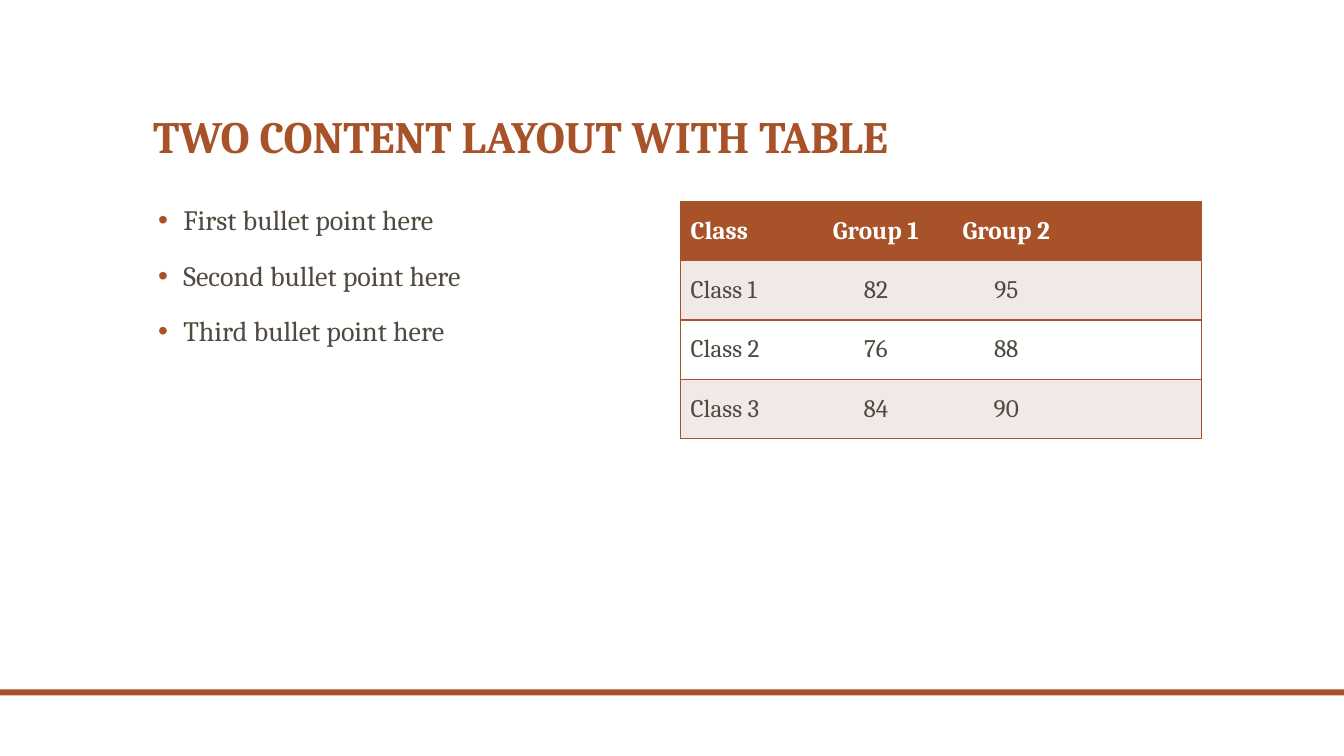
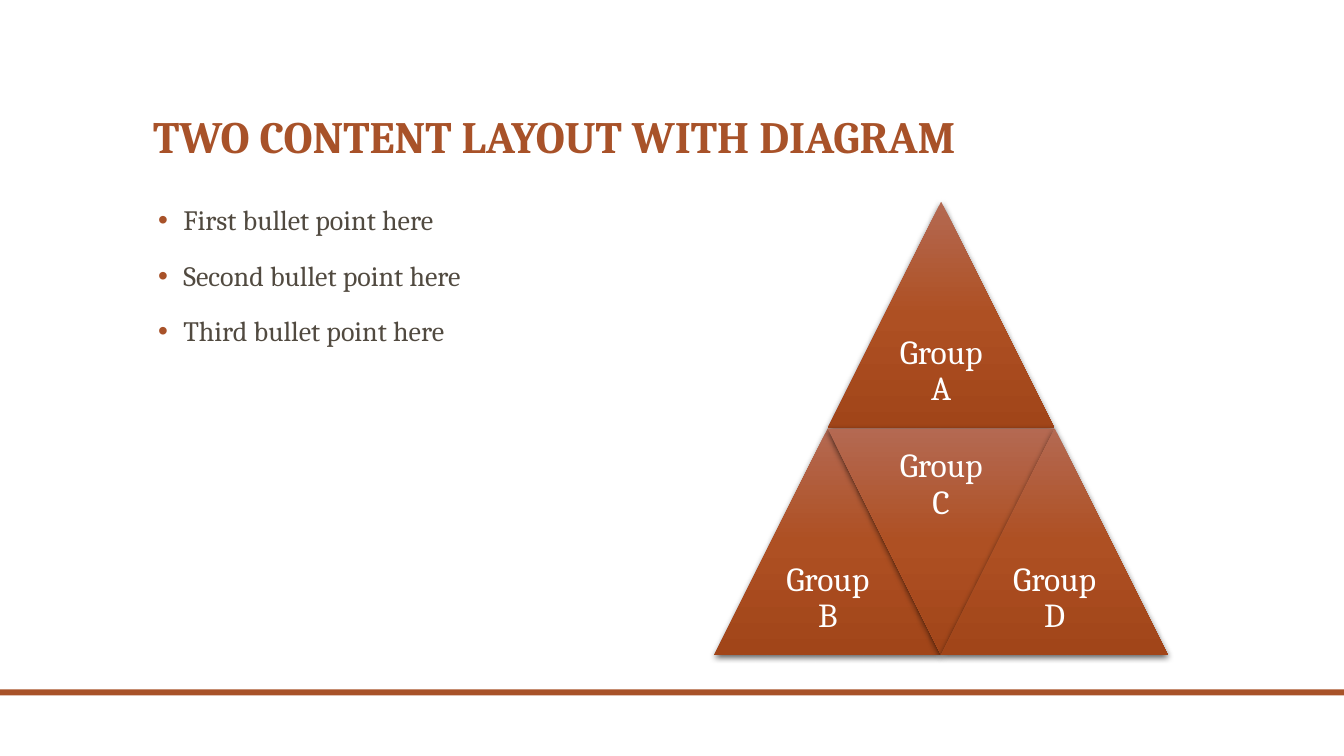
import dataclasses

import pptx
import pptx.dml.color
import pptx.enum.shapes
import pptx.enum.text
import pptx.oxml
import pptx.oxml.ns
import pptx.util

Inches = pptx.util.Inches
Pt = pptx.util.Pt
ALIGN = pptx.enum.text.PP_ALIGN
ANCHOR = pptx.enum.text.MSO_ANCHOR
SHAPE = pptx.enum.shapes.MSO_SHAPE
NAMESPACE = pptx.oxml.ns.nsdecls("a")


@dataclasses.dataclass(frozen=True)
class Theme:
    font: str = "Cambria"
    accent: str = "A85229"
    body: str = "514A40"
    white: str = "FFFFFF"
    stripe: str = "F1E9E8"
    gradient: tuple = ((0, "B46952"), (50, "AE5023"), (100, "A14519"))
    title_size: int = 32
    bullet_size: int = 20
    table_size: int = 18
    diagram_size: int = 24
    line_spacing: float = 0.9


@dataclasses.dataclass(frozen=True)
class Box:
    """A rectangle in inches."""
    left: float
    top: float
    width: float
    height: float

    def lengths(self):
        return [Inches(value) for value in dataclasses.astuple(self)]


THEME = Theme()
PAGE = Box(0, 0, 13.33, 7.5)
BAND = Box(0, 6.84, PAGE.width, 0.06)
TITLE = Box(1.42, 0.42, 10.5, 1.25)
LEFT_CONTENT = Box(1.42, 2, 5.17, 4.5)
RIGHT_CONTENT = Box(6.75, 2, 5.17, 4.5)
TABLE_HEIGHT = 2.35

BULLETS = ["First bullet point here", "Second bullet point here", "Third bullet point here"]
SCORES = [
    ["Class", "Group 1", "Group 2", ""],
    ["Class 1", "82", "95", ""],
    ["Class 2", "76", "88", ""],
    ["Class 3", "84", "90", ""],
]
GROUPS = ["Group A", "Group B", "Group C", "Group D"]


def rgb(color):
    return pptx.dml.color.RGBColor.from_string(color)


def style_paragraph(para, size, color, bold=False, align=ALIGN.LEFT):
    para.alignment = align
    for span in para.runs:
        span.font.name = THEME.font
        span.font.size = Pt(size)
        span.font.bold = bold
        span.font.color.rgb = rgb(color)


def add_text(shapes, box, lines, size, color, anchor=ANCHOR.TOP, **style):
    """Adds a wrapped text box with one paragraph for each line."""
    frame = shapes.add_textbox(*box.lengths()).text_frame
    frame.word_wrap = True
    frame.vertical_anchor = anchor
    frame.text = "\n".join(lines)
    for para in frame.paragraphs:
        para.line_spacing = THEME.line_spacing
        style_paragraph(para, size, color, **style)
    return frame


def add_band(page, box):
    band = page.shapes.add_shape(SHAPE.RECTANGLE, *box.lengths())
    band.shadow.inherit = False
    band.fill.solid()
    band.fill.fore_color.rgb = rgb(THEME.accent)
    band.line.fill.background()


def add_bullets(page, box, lines):
    frame = add_text(page.shapes, box, lines, THEME.bullet_size, THEME.body)
    for para in frame.paragraphs:
        para.space_before = Pt(18)
        properties = para._p.get_or_add_pPr()
        properties.set("marL", str(Inches(0.3)))
        properties.set("indent", str(Inches(-0.25)))
        for xml in (
            f'<a:buClr {NAMESPACE}><a:srgbClr val="{THEME.accent}"/></a:buClr>',
            f'<a:buFont {NAMESPACE} typeface="Arial"/>',
            f'<a:buChar {NAMESPACE} char="•"/>',
        ):
            properties.append(pptx.oxml.parse_xml(xml))


def set_borders(cell, drawn):
    """Draws the named sides (L, R, T, B) and clears the others."""
    properties = cell._tc.get_or_add_tcPr()
    for position, side in enumerate("LRTB"):
        paint = "<a:noFill/>"
        if side in drawn:
            paint = f'<a:solidFill><a:srgbClr val="{THEME.accent}"/></a:solidFill>'
        xml = f'<a:ln{side} {NAMESPACE} w="{Pt(1)}">{paint}</a:ln{side}>'
        properties.insert(position, pptx.oxml.parse_xml(xml))


def add_score_table(page, box, rows):
    column_count = len(rows[0])
    area = dataclasses.replace(box, height=TABLE_HEIGHT)
    table = page.shapes.add_table(len(rows), column_count, *area.lengths()).table
    for column in table.columns:
        column.width = Inches(area.width / column_count)
    for row_index, values in enumerate(rows):
        table.rows[row_index].height = Inches(area.height / len(rows))
        header = row_index == 0
        if header:
            fill = THEME.accent
        else:
            fill = THEME.stripe if row_index % 2 else THEME.white
        for column_index, value in enumerate(values):
            cell = table.cell(row_index, column_index)
            cell.text = value
            cell.vertical_anchor = ANCHOR.MIDDLE
            cell.fill.solid()
            cell.fill.fore_color.rgb = rgb(fill)
            style_paragraph(
                cell.text_frame.paragraphs[0],
                THEME.table_size,
                THEME.white if header else THEME.body,
                bold=header,
                align=ALIGN.CENTER if column_index else ALIGN.LEFT,
            )
            sides = {0: "LTB", column_count - 1: "RTB"}
            set_borders(cell, sides.get(column_index, "TB"))


def add_triangle(shapes, box, label, inverted):
    triangle = shapes.add_shape(SHAPE.ISOSCELES_TRIANGLE, *box.lengths())
    triangle.rotation = 180 if inverted else 0
    triangle.line.fill.background()
    stops = "".join(
        f'<a:gs pos="{percent * 1000}"><a:srgbClr val="{color}"/></a:gs>'
        for percent, color in THEME.gradient
    )
    gradient = pptx.oxml.parse_xml(
        f'<a:gradFill {NAMESPACE} rotWithShape="0"><a:gsLst>{stops}</a:gsLst>'
        '<a:lin ang="5400000" scaled="0"/></a:gradFill>'
    )
    shadow = pptx.oxml.parse_xml(
        f'<a:effectLst {NAMESPACE}><a:outerShdw blurRad="{Pt(4.5)}" dist="{Pt(1.5)}" '
        'dir="5400000" rotWithShape="0"><a:srgbClr val="000000">'
        '<a:alpha val="63000"/></a:srgbClr></a:outerShdw></a:effectLst>'
    )
    properties = triangle._element.spPr
    properties.find(pptx.oxml.ns.qn("a:prstGeom")).addnext(gradient)
    properties.append(shadow)

    half = box.width / 2
    label_top = box.top if inverted else box.top + half
    label_box = Box(box.left + half / 2, label_top, half, half)
    frame = add_text(shapes, label_box, [label], THEME.diagram_size, THEME.white,
                     anchor=ANCHOR.MIDDLE, align=ALIGN.CENTER)
    frame.margin_left = frame.margin_right = Inches(0.1)
    frame.margin_top = frame.margin_bottom = Inches(0.1)


def add_pyramid(page, box, labels):
    """Splits one large triangle into four, the middle one upside down."""
    shapes = page.shapes.add_group_shape().shapes
    side = box.height / 2
    left = box.left + (box.width - box.height) / 2
    places = [(0.5, 0), (0, 1), (0.5, 1), (1, 1)]
    for index, (label, (across, down)) in enumerate(zip(labels, places)):
        area = Box(left + across * side, box.top + down * side, side, side)
        add_triangle(shapes, area, label, inverted=index == 2)


def add_content_page(deck, title, add_right_content, content):
    page = deck.slides.add_slide(deck.slide_layouts[6])
    add_band(page, BAND)
    add_text(page.shapes, TITLE, [title], THEME.title_size, THEME.accent,
             anchor=ANCHOR.BOTTOM, bold=True)
    add_bullets(page, LEFT_CONTENT, BULLETS)
    add_right_content(page, RIGHT_CONTENT, content)


def main():
    deck = pptx.Presentation()
    deck.slide_width = Inches(PAGE.width)
    deck.slide_height = Inches(PAGE.height)
    add_content_page(deck, "TWO CONTENT LAYOUT WITH TABLE", add_score_table, SCORES)
    add_content_page(deck, "TWO CONTENT LAYOUT WITH DIAGRAM", add_pyramid, GROUPS)
    deck.save("out.pptx")


if __name__ == "__main__":
    main()
